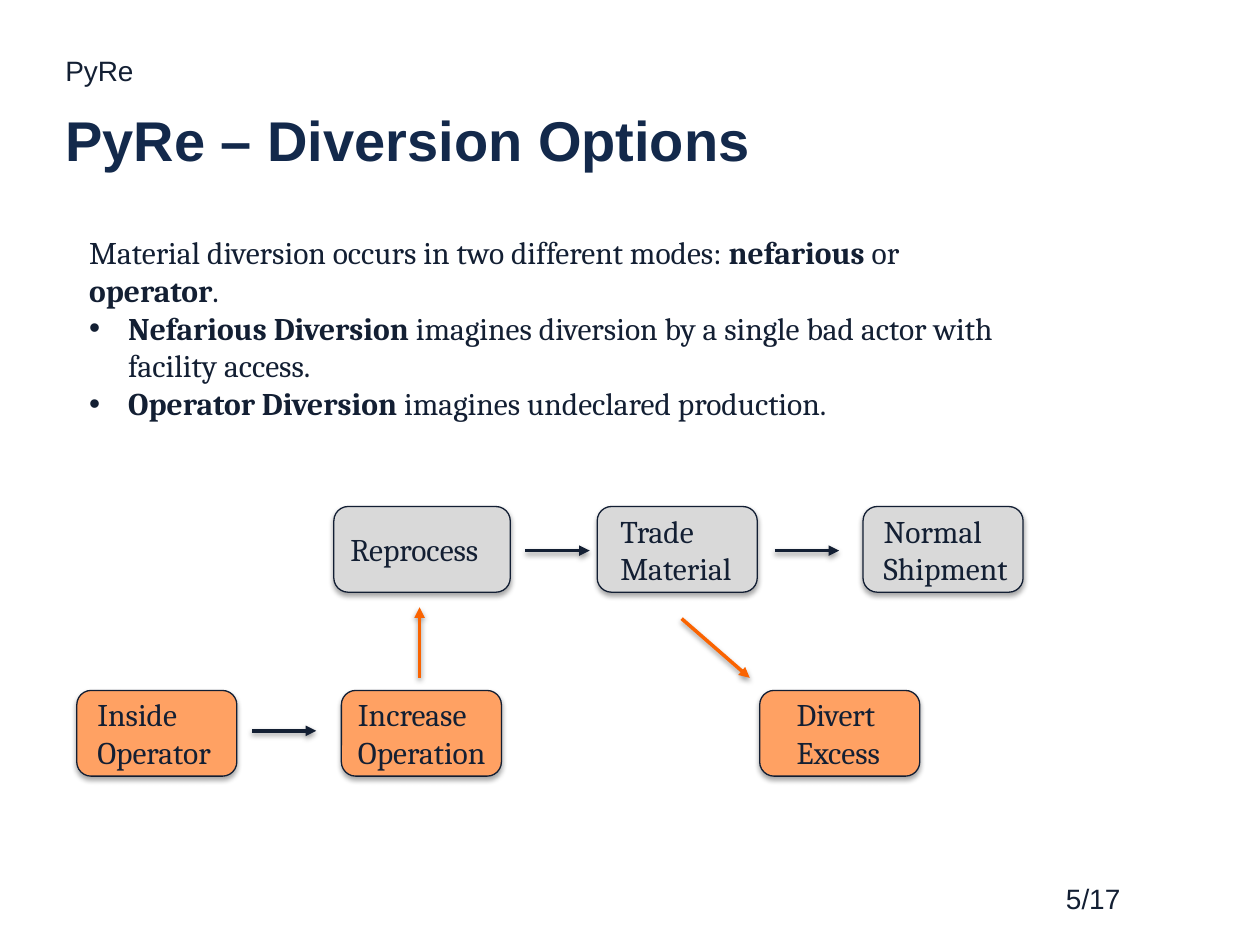
"""Build the diversion options slide: heading, explanation and flow diagram."""
from lxml.etree import SubElement
from pptx import Presentation
from pptx.dml.color import RGBColor
from pptx.enum.shapes import MSO_CONNECTOR as Connector, MSO_SHAPE as Shape
from pptx.enum.text import MSO_ANCHOR as Anchor, PP_ALIGN as Align
from pptx.oxml.ns import qn
from pptx.util import Inches, Pt

INK = RGBColor(0x13, 0x1F, 0x33)
NAVY = RGBColor(0x13, 0x29, 0x4B)
OUTLINE = RGBColor(0x12, 0x1E, 0x33)
GRAY = RGBColor(0xD9, 0xD9, 0xD9)
PEACH = RGBColor(0xFF, 0xA1, 0x63)
ORANGE = RGBColor(0xFA, 0x63, 0x00)
SANS, SERIF = "Arial", "Cambria"

MARGIN, TEXT_WIDTH, INDENT = 0.42, 7.7, 0.31
BODY_LEFT, BODY_TOP, BODY_HEIGHT = 0.61, 1.8, 1.92
NODE_WIDTH, NODE_HEIGHT = 1.27, 0.68
NORMAL_ROW, DIVERSION_ROW = 4.02, 5.48
NORMAL_FLOW, DIVERSION_FLOW = 4.37, 5.8
ARROW = 0.51

INTRO = [("Material diversion occurs in two different modes: ", False),
         ("nefarious", True), (" or ", False), ("operator", True), (".", False)]
MODES = [
    [("Nefarious Diversion", True),
     (" imagines diversion by a single bad actor with facility access.", False)],
    [("Operator Diversion", True), (" imagines undeclared production.", False)],
]
NODES = [
    (["Reprocess"], 2.65, NORMAL_ROW, 1.4, 0.1, GRAY),
    (["Trade", "Material"], 4.74, NORMAL_ROW, NODE_WIDTH, 0.15, GRAY),
    (["Normal", "Shipment"], 6.85, NORMAL_ROW, NODE_WIDTH, 0.13, GRAY),
    (["Inside", "Operator"], 0.61, DIVERSION_ROW, NODE_WIDTH, 0.13, PEACH),
    (["Increase", "Operation"], 2.71, DIVERSION_ROW, NODE_WIDTH, 0.1, PEACH),
    (["Divert", "Excess"], 6.03, DIVERSION_ROW, NODE_WIDTH, 0.26, PEACH),
]
ARROWS = [
    (4.17, NORMAL_FLOW, ARROW, 0, INK),
    (6.15, NORMAL_FLOW, ARROW, 0, INK),
    (2.0, DIVERSION_FLOW, ARROW, 0, INK),
    (3.33, 5.38, 0, -0.56, ORANGE),
    (5.41, 4.91, 0.54, 0.47, ORANGE),
]


def add_span(para, text, size, font, color=INK, bold=False):
    span = para.add_run()
    span.text = text
    span.font.size, span.font.name = Pt(size), font
    span.font.color.rgb, span.font.bold = color, bold


def add_box(page, left, top, width, height):
    box = page.shapes.add_textbox(*map(Inches, (left, top, width, height)))
    box.text_frame.word_wrap = True
    return box.text_frame


def add_bullet(para):
    props = para._p.get_or_add_pPr()
    props.set("marL", str(Inches(INDENT)))
    props.set("indent", str(-Inches(INDENT)))
    SubElement(props, qn("a:buFont"), typeface=SANS)
    SubElement(props, qn("a:buChar"), char="•")


def add_shadow(item, distance, opacity):
    effects = SubElement(item._element.spPr, qn("a:effectLst"))
    shadow = SubElement(effects, qn("a:outerShdw"), blurRad=str(Pt(3.1)),
                        dist=str(Pt(distance)), dir="5400000", rotWithShape="0")
    color = SubElement(shadow, qn("a:srgbClr"), val="000000")
    SubElement(color, qn("a:alpha"), val=str(opacity * 1000))


def add_node(page, lines, left, top, width, inset, fill):
    node = page.shapes.add_shape(
        Shape.ROUNDED_RECTANGLE, *map(Inches, (left, top, width, NODE_HEIGHT)))
    node.fill.solid()
    node.fill.fore_color.rgb = fill
    node.line.color.rgb, node.line.width = OUTLINE, Pt(0.75)
    add_shadow(node, 1.8, 35)
    frame = node.text_frame
    frame.word_wrap, frame.vertical_anchor = True, Anchor.MIDDLE
    frame.margin_left, frame.margin_right = Inches(inset), 0
    frame.margin_top = frame.margin_bottom = 0
    for number, line in enumerate(lines):
        para = frame.add_paragraph() if number else frame.paragraphs[0]
        para.alignment = Align.LEFT
        add_span(para, line, 18, SERIF)


def add_arrow(page, x, y, run, rise, color):
    arrow = page.shapes.add_connector(
        Connector.STRAIGHT, *map(Inches, (x, y, x + run, y + rise)))
    arrow.line.color.rgb, arrow.line.width = color, Pt(2)
    SubElement(arrow.line._get_or_add_ln(), qn("a:tailEnd"), type="triangle")
    add_shadow(arrow, 1.6, 38)


def main():
    deck = Presentation()
    deck.slide_width, deck.slide_height = Inches(10), Inches(7.5)
    page = deck.slides.add_slide(deck.slide_layouts[6])

    section = add_box(page, MARGIN, 0.38, 1.46, 0.37)
    add_span(section.paragraphs[0], "PyRe", 16, SANS)
    title = add_box(page, MARGIN, 0.75, TEXT_WIDTH, 0.8)
    title.margin_top = Inches(0.09)
    add_span(title.paragraphs[0], "PyRe – Diversion Options", 32, SANS, NAVY, True)
    number = add_box(page, 7.28, 6.95, 1.71, 0.37).paragraphs[0]
    number.alignment = Align.RIGHT
    add_span(number, "5/17", 16, SANS)

    body = add_box(page, BODY_LEFT, BODY_TOP, TEXT_WIDTH, BODY_HEIGHT)
    for text, bold in INTRO:
        add_span(body.paragraphs[0], text, 18, SERIF, bold=bold)
    for mode in MODES:
        para = body.add_paragraph()
        add_bullet(para)
        for text, bold in mode:
            add_span(para, text, 18, SERIF, bold=bold)

    for node in NODES:
        add_node(page, *node)
    for arrow in ARROWS:
        add_arrow(page, *arrow)
    deck.save("out.pptx")


if __name__ == "__main__":
    main()
